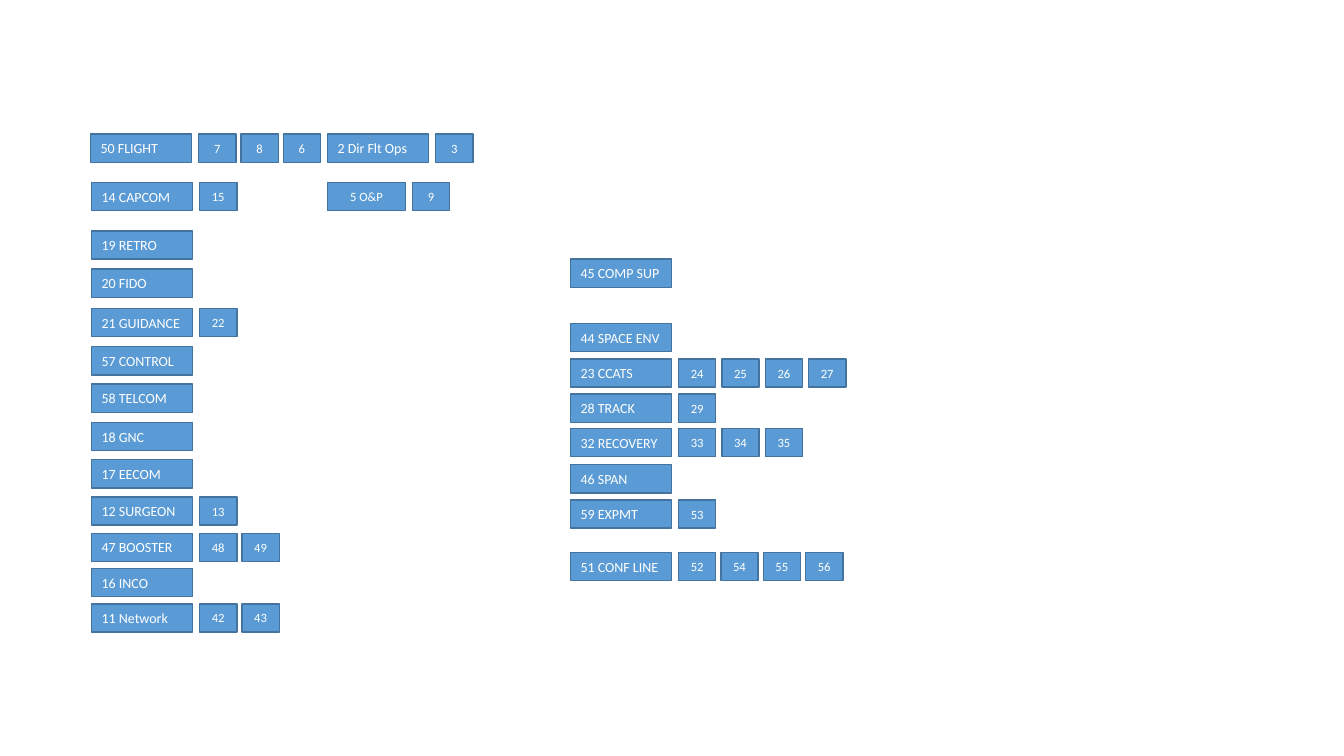
from dataclasses import dataclass

from pptx import Presentation
from pptx.dml.color import RGBColor
from pptx.enum.shapes import MSO_SHAPE
from pptx.enum.text import MSO_ANCHOR, PP_ALIGN
from pptx.shapes.shapetree import GroupShapes, SlideShapes
from pptx.slide import Slide
from pptx.util import Inches, Pt

COLORS = {"box": "5B9BD5", "border": "43739E", "text": "FFFFFF"}
FONT = "Calibri"
BOX_H = 0.28
LOOP_W = 0.37
LOOP_GAP = 0.07
LEFT_X, MID_X, RIGHT_X = 0.91, 3.25, 5.66


@dataclass
class Station:
    """A console position followed by its numbered voice loops."""
    label: str
    left: float
    top: float
    loops: tuple[int, ...] = ()
    pitch: float = 0.42
    width: float = 1.0
    size: int = 10
    align: PP_ALIGN = PP_ALIGN.LEFT


STATIONS = [
    Station("50 FLIGHT", 0.9, 1.33, (7, 8, 6)),
    Station("14 CAPCOM", LEFT_X, 1.81, (15,)),
    Station("19 RETRO", LEFT_X, 2.29),
    Station("20 FIDO", LEFT_X, 2.67),
    Station("21 GUIDANCE", LEFT_X, 3.06, (22,)),
    Station("57 CONTROL", LEFT_X, 3.44),
    Station("58 TELCOM", LEFT_X, 3.81),
    Station("18 GNC", LEFT_X, 4.19),
    Station("17 EECOM", LEFT_X, 4.56),
    Station("12 SURGEON", LEFT_X, 4.93, (13,)),
    Station("47 BOOSTER", LEFT_X, 5.29, (48, 49)),
    Station("16 INCO", LEFT_X, 5.64),
    Station("11 Network", LEFT_X, 5.99, (42, 43)),
    Station("2 Dir Flt Ops", MID_X, 1.33, (3,)),
    Station("5 O&P", MID_X, 1.81, (9,), width=0.77, size=9, align=PP_ALIGN.CENTER),
    Station("45 COMP SUP", RIGHT_X, 2.57),
    Station("44 SPACE ENV", RIGHT_X, 3.21),
    Station("23 CCATS", RIGHT_X, 3.56, (24, 25, 26, 27), pitch=0.43),
    Station("28 TRACK", RIGHT_X, 3.91, (29,)),
    Station("32 RECOVERY", RIGHT_X, 4.25, (33, 34, 35), pitch=0.43),
    Station("46 SPAN", RIGHT_X, 4.61),
    Station("59 EXPMT", RIGHT_X, 4.96, (53,)),
    Station("51 CONF LINE", RIGHT_X, 5.48, (52, 54, 55, 56)),
]


def add_box(shapes: SlideShapes | GroupShapes, text: str, left: float, top: float,
            width: float, size: int, align: PP_ALIGN) -> None:
    sp = shapes.add_shape(MSO_SHAPE.RECTANGLE, Inches(left), Inches(top),
                          Inches(width), Inches(BOX_H))
    sp.shadow.inherit = False
    sp.fill.solid()
    sp.fill.fore_color.rgb = RGBColor.from_string(COLORS["box"])
    sp.line.color.rgb = RGBColor.from_string(COLORS["border"])
    sp.line.width = Pt(1)
    tf = sp.text_frame
    tf.vertical_anchor = MSO_ANCHOR.MIDDLE
    p = tf.paragraphs[0]
    p.text = text
    p.alignment = align
    p.font.name = FONT
    p.font.size = Pt(size)
    p.font.color.rgb = RGBColor.from_string(COLORS["text"])


def add_station(s: Slide, station: Station) -> None:
    """Draw a station, grouped with its loops if it has any."""
    shapes = s.shapes.add_group_shape().shapes if station.loops else s.shapes
    add_box(shapes, station.label, station.left, station.top,
            station.width, station.size, station.align)
    first_loop = station.left + station.width + LOOP_GAP
    for i, loop in enumerate(station.loops):
        add_box(shapes, str(loop), first_loop + i * station.pitch, station.top,
                LOOP_W, 9, PP_ALIGN.CENTER)


def main() -> None:
    prs = Presentation()
    prs.slide_width, prs.slide_height = Inches(13.33), Inches(7.5)
    s = prs.slides.add_slide(prs.slide_layouts[6])
    for station in STATIONS:
        add_station(s, station)
    prs.save("out.pptx")


if __name__ == "__main__":
    main()
